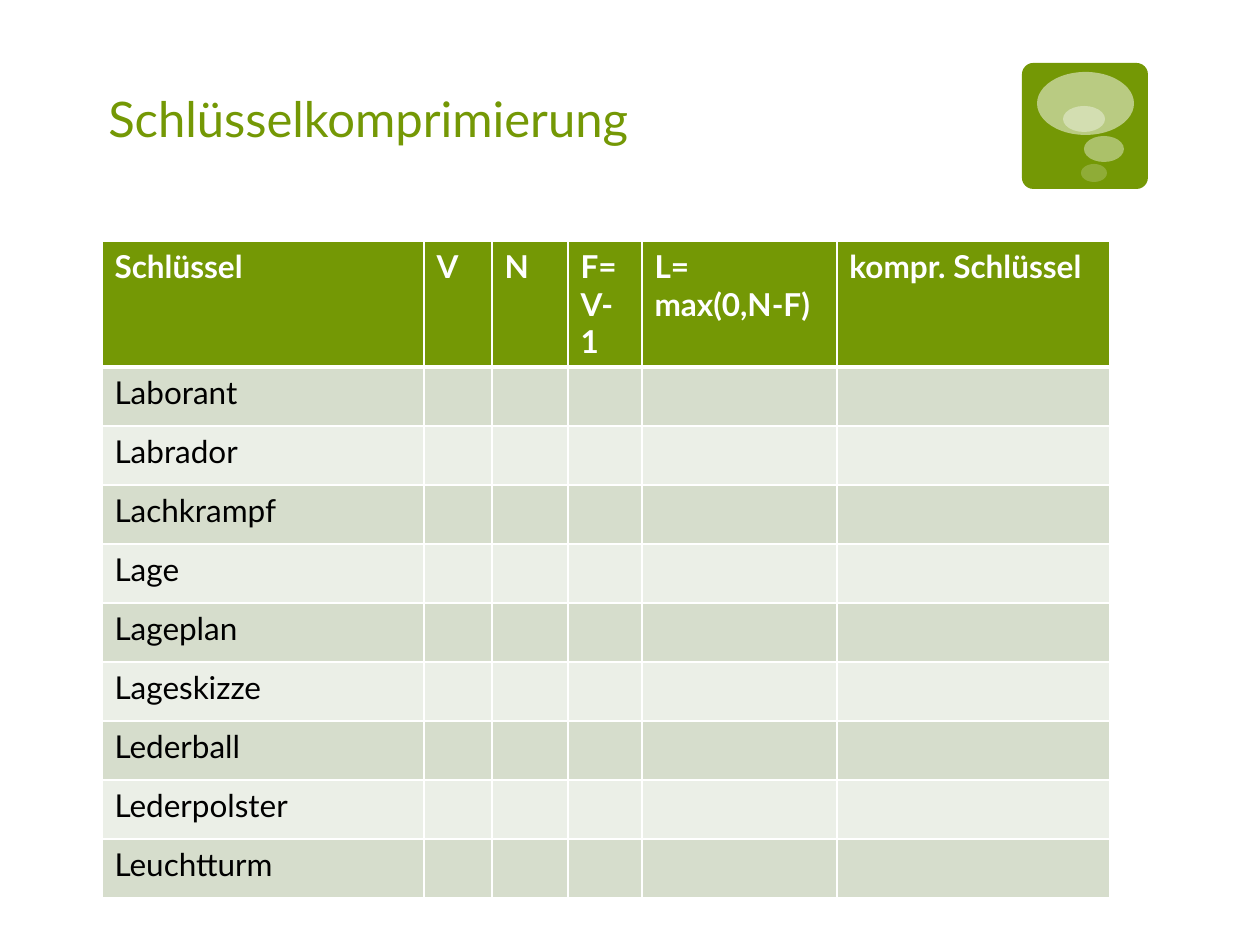
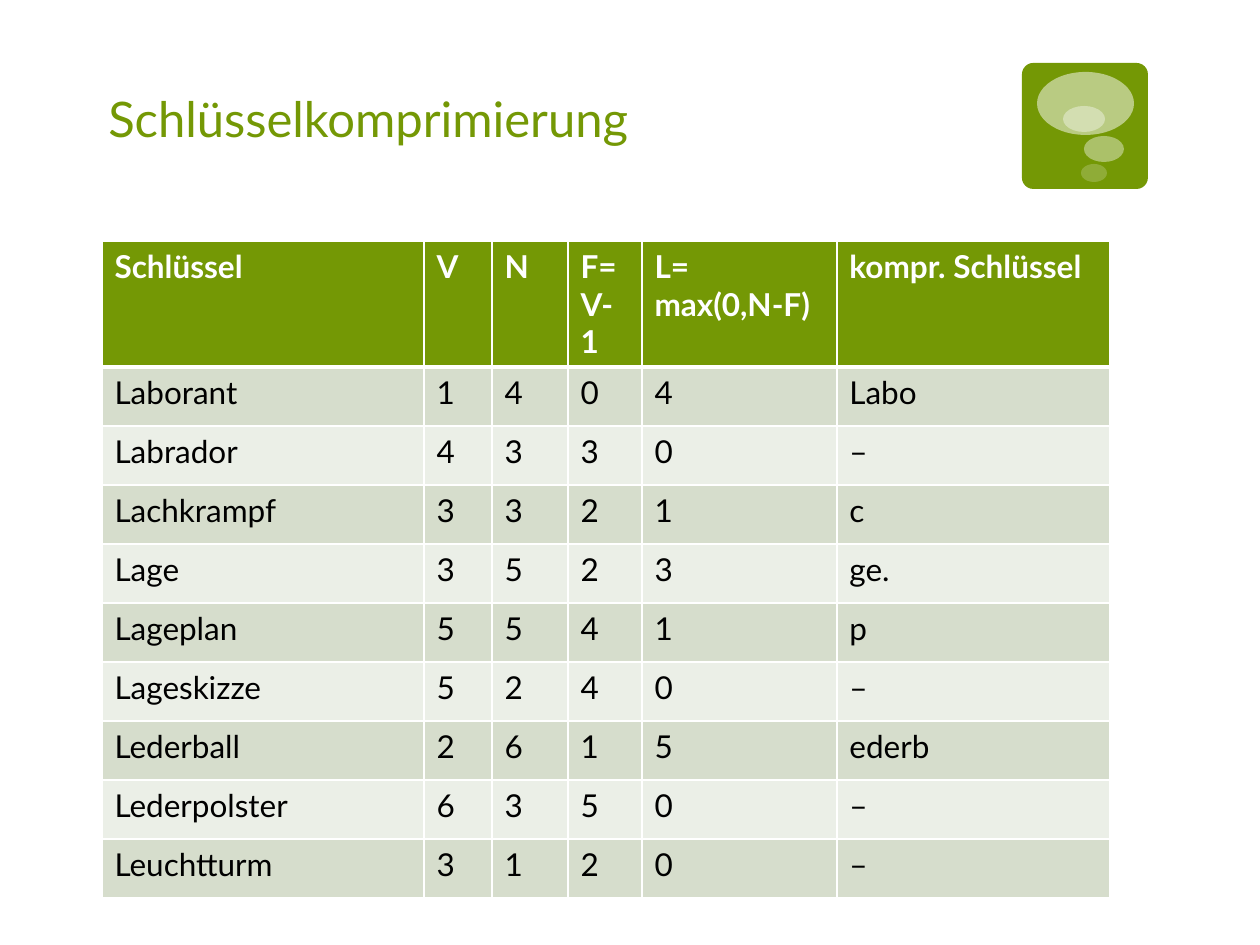
from lxml import etree
from pptx import Presentation
from pptx import util as u
from pptx.dml.color import RGBColor
from pptx.enum import shapes, text
from pptx.oxml.ns import qn

EMU_PER_PX = u.Inches(1) / 126
FONT = "Lato"
COLORS = {
    "green": "749805",
    "white": "FFFFFF",
    "black": "000000",
    "odd_row": "D6DDCC",
    "even_row": "EBEFE7",
}
TITLE = "Schlüsselkomprimierung"
HEADER = ["Schlüssel", "V", "N", "F=\vV-1", "L=\nmax(0,N-F)", "kompr. Schlüssel"]
COLUMN_WIDTHS = [322, 68, 76, 74, 195, 273]
ROW_HEIGHT = 59
KEYS = [
    ("Laborant", 1, 4),
    ("Labrador", 4, 3),
    ("Lachkrampf", 3, 3),
    ("Lage", 3, 5),
    ("Lageplan", 5, 5),
    ("Lageskizze", 5, 2),
    ("Lederball", 2, 6),
    ("Lederpolster", 6, 3),
    ("Leuchtturm", 3, 1),
]
BUBBLES = [
    (1037, 72, 97, 63, 50),
    (1084, 136, 40, 26, 40),
    (1081, 164, 26, 18, 20),
    (1063, 106, 42, 26, 38),
]


def px(*lengths):
    return [u.Emu(round(length * EMU_PER_PX)) for length in lengths]


def color(name):
    return RGBColor.from_string(COLORS[name])


def compressed_row(key, v, n):
    f = v - 1
    length = max(0, n - f)
    return [key, v, n, f, length, f"{key}."[f:f + length] or "–"]


class SlideBuilder:
    def __init__(self, presentation):
        self.presentation = presentation
        self.slide = None

    def new_slide(self):
        self.slide = self.presentation.slides.add_slide(self.presentation.slide_layouts[6])
        self.icon()
        self.title(TITLE)

    def format_runs(self, text_frame, size, color_name, bold=False):
        for paragraph in text_frame.paragraphs:
            for run in paragraph.runs:
                run.font.name = FONT
                run.font.size = u.Pt(size)
                run.font.bold = bold
                run.font.color.rgb = color(color_name)

    def filled_shape(self, parent, kind, box, color_name, opacity=100):
        shape = parent.add_shape(kind, *px(*box))
        shape.shadow.inherit = False
        shape.fill.solid()
        shape.fill.fore_color.rgb = color(color_name)
        shape.line.fill.background()
        if opacity < 100:
            fill_color = shape.fill._xPr.find(f".//{qn('a:srgbClr')}")
            etree.SubElement(fill_color, qn("a:alpha"), val=str(opacity * 1000))
        return shape

    def icon(self):
        group = self.slide.shapes.add_group_shape().shapes
        tile = self.filled_shape(
            group, shapes.MSO_SHAPE.ROUNDED_RECTANGLE, (1022, 63, 126, 126), "green")
        tile.adjustments[0] = 0.09
        for *box, opacity in BUBBLES:
            self.filled_shape(group, shapes.MSO_SHAPE.OVAL, box, "white", opacity)

    def title(self, wording):
        text_frame = self.slide.shapes.add_textbox(*px(102, 32, 662, 122)).text_frame
        text_frame.word_wrap = True
        text_frame.vertical_anchor = text.MSO_ANCHOR.BOTTOM
        text_frame.margin_left = text_frame.margin_top = text_frame.margin_bottom = u.Inches(0.05)
        text_frame.margin_right = u.Inches(0.1)
        text_frame.text = wording
        self.format_runs(text_frame, 28, "green")

    def borders(self, cell, top, bottom):
        properties = cell._tc.get_or_add_tcPr()
        widths = {"lnL": 1, "lnR": 1, "lnT": top, "lnB": bottom}
        for index, (side, width) in enumerate(widths.items()):
            line = etree.Element(qn(f"a:{side}"), w=str(u.Pt(width)))
            fill = etree.SubElement(line, qn("a:solidFill"))
            etree.SubElement(fill, qn("a:srgbClr"), val=COLORS["white"])
            properties.insert(index, line)

    def table(self, rows):
        box = px(102, 241, sum(COLUMN_WIDTHS), 621)
        frame = self.slide.shapes.add_table(len(rows), len(HEADER), *box)
        table = frame.table
        table.horz_banding = False
        for column, width in zip(table.columns, COLUMN_WIDTHS):
            column.width = px(width)[0]
        for row_index, values in enumerate(rows):
            table.rows[row_index].height = px(ROW_HEIGHT)[0]
            is_header = row_index == 0
            fill = "green" if is_header else "odd_row" if row_index % 2 else "even_row"
            for column_index, value in enumerate(values):
                cell = table.cell(row_index, column_index)
                cell.text_frame.text = str(value)
                self.format_runs(
                    cell.text_frame, 18, "white" if is_header else "black", is_header)
                cell.fill.solid()
                cell.fill.fore_color.rgb = color(fill)
                self.borders(cell, 3 if row_index == 1 else 1, 3 if is_header else 1)
        frame.height = box[3]


def main():
    presentation = Presentation()
    presentation.slide_width, presentation.slide_height = px(1260, 945)
    builder = SlideBuilder(presentation)
    solution = [compressed_row(*key) for key in KEYS]
    exercise = [[key] + [""] * (len(HEADER) - 1) for key, _, _ in KEYS]
    for rows in (exercise, solution):
        builder.new_slide()
        builder.table([HEADER] + rows)
    presentation.save("out.pptx")


if __name__ == "__main__":
    main()
